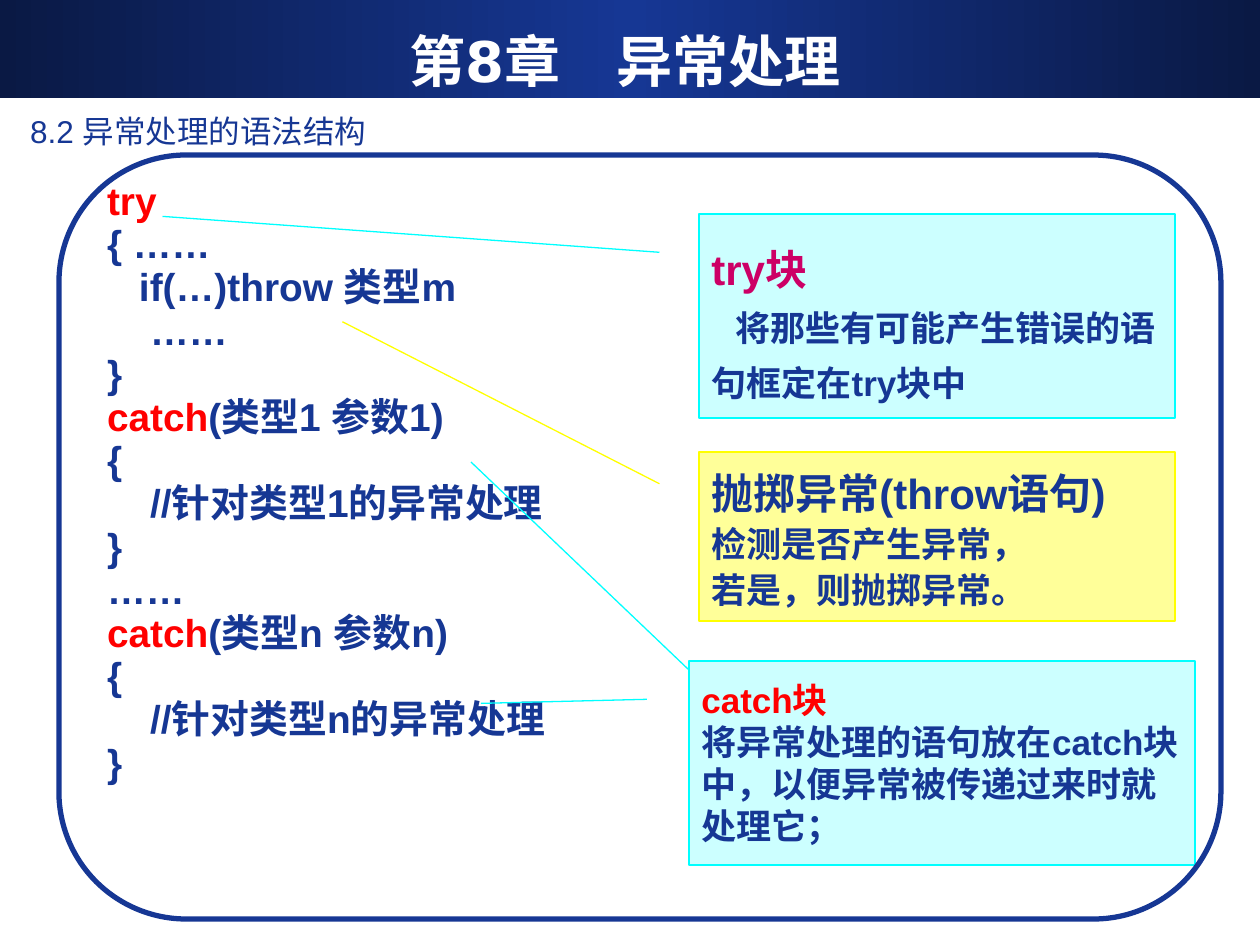
import copy

import pptx
import pptx.dml.color
import pptx.enum.shapes
import pptx.enum.text
import pptx.oxml
import pptx.oxml.ns
import pptx.util

EMU_PER_PX = 914400 / 126
SHAPES = pptx.enum.shapes.MSO_SHAPE
ANCHOR = pptx.enum.text.MSO_ANCHOR
ALIGN = pptx.enum.text.PP_ALIGN
NAVY, NIGHT, RED, MAGENTA, WHITE = "163794", "0A1944", "FF0000", "CC0066", "FFFFFF"
CYAN, PALE_CYAN, YELLOW, PALE_YELLOW = "00FFFF", "CCFFFF", "FFFF00", "FFFF99"


def px(length):
    return pptx.util.Emu(round(length * EMU_PER_PX))


def colour(value):
    return pptx.dml.color.RGBColor.from_string(value)


def add_text(frame, text, size=20, color=NAVY, bold=True, font="Arial", align=ALIGN.LEFT,
             spacing=None, margin=0, indent=0, keyword=""):
    """Append one paragraph; a leading keyword is set in red."""
    used = bool(frame.paragraphs[0].runs)
    paragraph = frame.add_paragraph() if used else frame.paragraphs[0]
    paragraph.alignment = align
    paragraph.line_spacing = spacing
    properties = paragraph._p.get_or_add_pPr()
    properties.set("marL", str(px(margin)))
    properties.set("indent", str(px(indent)))
    for words, shade in ((keyword, RED), (text, color)):
        if words:
            run = paragraph.add_run()
            run.text = words
            run.font.size = pptx.util.Pt(size)
            run.font.name = font
            run.font.bold = bold
            run.font.color.rgb = colour(shade)


def add_frame(slide, box, anchor=ANCHOR.TOP):
    frame = slide.shapes.add_textbox(*map(px, box)).text_frame
    frame.word_wrap = True
    frame.vertical_anchor = anchor
    frame.margin_left = frame.margin_right = frame.margin_top = frame.margin_bottom = 0
    return frame


def add_box(slide, kind, box, fill=None, line=None, width=0.75):
    shape = slide.shapes.add_shape(kind, *map(px, box))
    shape.shadow.inherit = False
    if fill:
        shape.fill.solid()
        shape.fill.fore_color.rgb = colour(fill)
    else:
        shape.fill.background()
    if line:
        shape.line.color.rgb = colour(line)
        shape.line.width = pptx.util.Pt(width)
    else:
        shape.line.fill.background()
    return shape


def add_header(slide, box):
    left, top, width, height = box
    band = add_box(slide, SHAPES.RECTANGLE, box)
    band.fill.gradient()
    band.fill.gradient_angle = 0
    stops = band._element.spPr.find(".//" + pptx.oxml.ns.qn("a:gsLst"))
    stops.insert(1, copy.deepcopy(stops[0]))
    for stop, position, shade in zip(band.fill.gradient_stops, (0, 0.5, 1), (NIGHT, NAVY, NIGHT)):
        stop.position = position
        stop.color.rgb = colour(shade)
    title = add_frame(slide, (left + 42, top + 21, width - 94, height - 20), ANCHOR.MIDDLE)
    add_text(title, "第8章　异常处理", size=32, color=WHITE, font="DejaVu Sans", align=ALIGN.CENTER)


def add_code(slide, box):
    """Each line is keyword, rest, left margin."""
    code = add_frame(slide, box)
    lines = [("try", "", 0), ("", "{ ……", 0), ("", "if(…)throw 类型m", 32), ("", "……", 43), ("", "}", 0)]
    for index in ("1", "n"):
        lines += [
            ("catch", f"(类型{index} 参数{index})", 0),
            ("", "{", 0),
            ("", f"//针对类型{index}的异常处理", 43),
            ("", "}", 0),
        ]
        if index == "1":
            lines.append(("", "……", 0))
    for keyword, rest, margin in lines:
        add_text(code, rest, size=22.2, keyword=keyword, margin=margin, spacing=pptx.util.Pt(24.7))


def add_callout(slide, box, pointer, fill, line, heading, heading_format, body, spacing, indent=0):
    """Pointer is the leader's far end, as (y, x) fractions of the box."""
    callout = add_box(slide, SHAPES.LINE_CALLOUT_1, box, fill, line)
    for number, value in enumerate((0.188, -0.083, *pointer)):
        callout.adjustments[number] = value
    frame = callout.text_frame
    frame.word_wrap = True
    frame.vertical_anchor = ANCHOR.MIDDLE
    add_text(frame, heading, spacing=spacing, **heading_format)
    for sentence in body:
        add_text(frame, sentence, spacing=spacing, indent=indent)


def add_leader(slide, start, end):
    leader = slide.shapes.add_connector(
        pptx.enum.shapes.MSO_CONNECTOR.STRAIGHT, *map(px, start + end))
    leader.line.color.rgb = colour(CYAN)
    leader.line.width = pptx.util.Pt(0.75)
    pptx.oxml.ns.qn("a:effectLst")
    leader._element.spPr.append(
        leader._element.makeelement(pptx.oxml.ns.qn("a:effectLst"), {}))


def add_explanations(slide, box):
    left, top, width, height = box
    add_callout(slide, (left + 10, top, 476, 204), (0.012, -1.127), PALE_CYAN, CYAN,
                "try块", {"size": 24, "color": MAGENTA},
                ["将那些有可能产生错误的语句框定在try块中"], 1.3, indent=24)
    catch_top = top + height - 204
    add_callout(slide, (left, catch_top, width, 204), (0.208, -0.411), PALE_CYAN, CYAN,
                "catch块", {"color": RED},
                ["将异常处理的语句放在catch块中，以便异常被传递过来时就处理它；"], 1.0)
    add_leader(slide, (left, catch_top + 9), (left - 218, catch_top - 199))
    add_callout(slide, (left + 10, top + 238, 476, 169), (-0.771, -0.749), PALE_YELLOW, YELLOW,
                "抛掷异常(throw语句)", {"size": 24},
                ["检测是否产生异常，", "若是，则抛掷异常。"], 1.1)


def main():
    deck = pptx.Presentation()
    deck.slide_width, deck.slide_height = px(1260), px(945)
    slide = deck.slides.add_slide(deck.slide_layouts[6])
    add_header(slide, (0, 0, 1260, 98))
    add_code(slide, (107, 180, 560, 610))
    add_explanations(slide, (689, 214, 506, 651))
    add_box(slide, SHAPES.ROUNDED_RECTANGLE, (59, 155, 1162, 764), line=NAVY, width=3)
    section = add_frame(slide, (30, 112, 1130, 40))
    add_text(section, "8.2 异常处理的语法结构", size=18, bold=False)
    deck.save("out.pptx")


if __name__ == "__main__":
    main()
